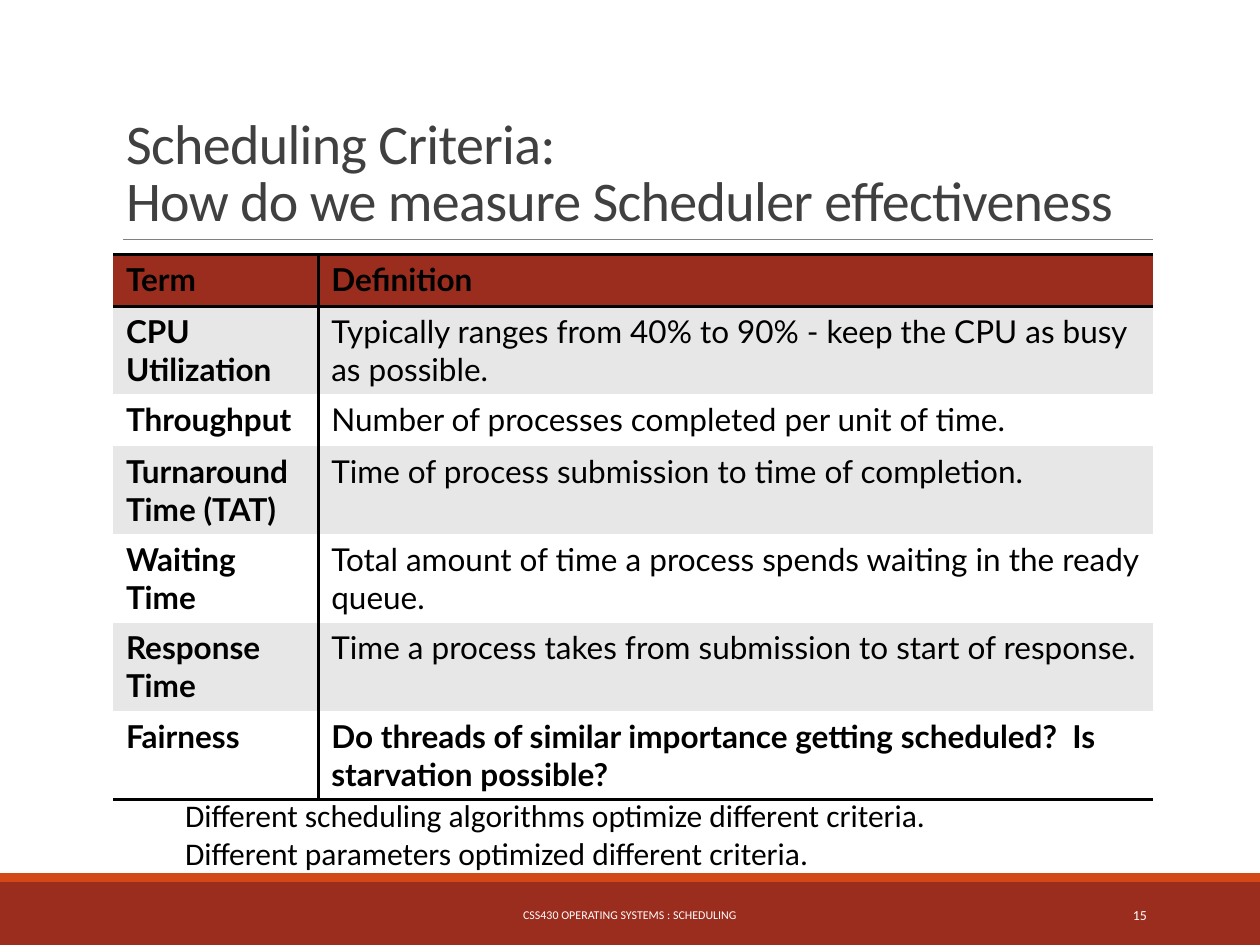
from lxml.etree import SubElement
from pptx import Presentation
from pptx.dml.color import RGBColor
from pptx.enum.shapes import MSO_CONNECTOR, MSO_SHAPE
from pptx.enum.text import MSO_ANCHOR as Anchor, PP_ALIGN as Align
from pptx.oxml.ns import qn
from pptx.util import Inches, Pt

# Content
TITLE = "Scheduling Criteria:\nHow do we measure Scheduler effectiveness"
CRITERIA = [
    ("Term", "Definition"),
    ("CPU Utilization", "Typically ranges from 40% to 90% - keep the CPU as busy as possible."),
    ("Throughput", "Number of processes completed per unit of time."),
    ("Turnaround Time (TAT)", "Time of process submission to time of completion."),
    ("Waiting Time", "Total amount of time a process spends waiting in the ready queue."),
    ("Response Time", "Time a process takes from submission to start of response."),
    ("Fairness", "Do threads of similar importance getting scheduled?  Is starvation possible?"),
]
NOTES = [
    "Different scheduling algorithms optimize different criteria.",
    "Different parameters optimized different criteria.",
]
FOOTER = "CSS430 OPERATING SYSTEMS : SCHEDULING"
PAGE = "15"

# Layout and colours
COLUMN_WIDTHS = (1.63, 6.62)
SHORT_ROW, TALL_ROW = 0.41, 0.7
SHORT_ROWS = (0, 2)
BRICK, ORANGE, BLACK, WHITE = "9B2D1F", "D34817", "000000", "FFFFFF"
BAND, DARK, GRAY = "E7E7E7", "404040", "808080"


def rgb(value):
    return RGBColor.from_string(value)


def box(left, top, width, height):
    return [Inches(n) for n in (left, top, width, height)]


def style(paragraph, size, color, face="Calibri", bold=False):
    font = paragraph.font
    font.size, font.name, font.bold = Pt(size), face, bold
    font.color.rgb = rgb(color)


def add_bar(slide, place, color):
    bar = slide.shapes.add_shape(MSO_SHAPE.RECTANGLE, *box(*place))
    bar.shadow.inherit = False
    bar.fill.solid()
    bar.fill.fore_color.rgb = rgb(color)
    bar.line.fill.background()


def add_text(slide, place, lines, size, color, align=Align.LEFT, anchor=Anchor.TOP):
    frame = slide.shapes.add_textbox(*box(*place)).text_frame
    frame.word_wrap = True
    frame.vertical_anchor = anchor
    frame.text = "\n".join(lines)
    for paragraph in frame.paragraphs:
        paragraph.alignment = align
        style(paragraph, size, color)


def set_borders(cell, widths):
    properties = cell._tc.get_or_add_tcPr()
    for side in "LRTB":
        width = widths.get(side, 0)
        line = SubElement(properties, qn(f"a:ln{side}"), w=str(Pt(width)))
        if width:
            fill = SubElement(line, qn("a:solidFill"))
            SubElement(fill, qn("a:srgbClr"), val=BLACK)
        else:
            SubElement(line, qn("a:noFill"))


def add_criteria(slide):
    last = len(CRITERIA) - 1
    heights = [SHORT_ROW if r in SHORT_ROWS else TALL_ROW for r in range(last + 1)]
    place = box(0.9, 2.02, sum(COLUMN_WIDTHS), sum(heights))
    table = slide.shapes.add_table(last + 1, len(COLUMN_WIDTHS), *place).table
    for column, width in zip(table.columns, COLUMN_WIDTHS):
        column.width = Inches(width)
    for r, entry in enumerate(CRITERIA):
        table.rows[r].height = Inches(heights[r])
        for c, wording in enumerate(entry):
            cell = table.cell(r, c)
            cell.text = wording
            style(cell.text_frame.paragraphs[0], 18, BLACK, "Lato",
                  bold=c == 0 or r in (0, last))
            # Divider between columns, rules around the header and at the foot
            widths = {"R" if c == 0 else "L": 2.25}
            if r in (0, 1):
                widths["T"] = 2
            if r in (0, last):
                widths["B"] = 2
            set_borders(cell, widths)
            cell.fill.solid()
            cell.fill.fore_color.rgb = rgb(BRICK if r == 0 else BAND if r % 2 else WHITE)


def main():
    deck = Presentation()
    deck.slide_width, deck.slide_height = Inches(10), Inches(7.5)
    slide = deck.slides.add_slide(deck.slide_layouts[5])

    # Footer bars and title rule
    add_bar(slide, (0, 7, 10, 0.5), BRICK)
    add_bar(slide, (0, 6.93, 10, 0.07), ORANGE)
    rule = slide.shapes.add_connector(MSO_CONNECTOR.STRAIGHT, *box(0.98, 1.9, 9.15, 1.9))
    rule.line.color.rgb = rgb(GRAY)
    rule.line.width = Pt(0.5)
    SubElement(rule._element.spPr, qn("a:effectLst"))

    # Title
    title = slide.shapes.title
    title.left, title.top, title.width, title.height = box(0.9, 0.31, 8.25, 1.59)
    title.text_frame.vertical_anchor = Anchor.BOTTOM
    title.text_frame.word_wrap = True
    heading = title.text_frame.paragraphs[0]
    heading.text = TITLE
    heading.alignment = Align.LEFT
    heading.line_spacing = 0.85
    style(heading, 32, DARK)
    for run in heading.runs:
        run._r.get_or_add_rPr().set("spc", "-40")

    # Table, footer and closing notes
    add_criteria(slide)
    add_text(slide, (3.02, 7.06, 3.96, 0.4), [FOOTER], 6.8, WHITE, Align.CENTER, Anchor.MIDDLE)
    add_text(slide, (8.12, 7.06, 1.08, 0.4), [PAGE], 7.9, WHITE, Align.RIGHT, Anchor.MIDDLE)
    add_text(slide, (1.37, 6.27, 7.65, 0.71), NOTES, 18, BLACK)

    deck.save("out.pptx")


if __name__ == "__main__":
    main()
